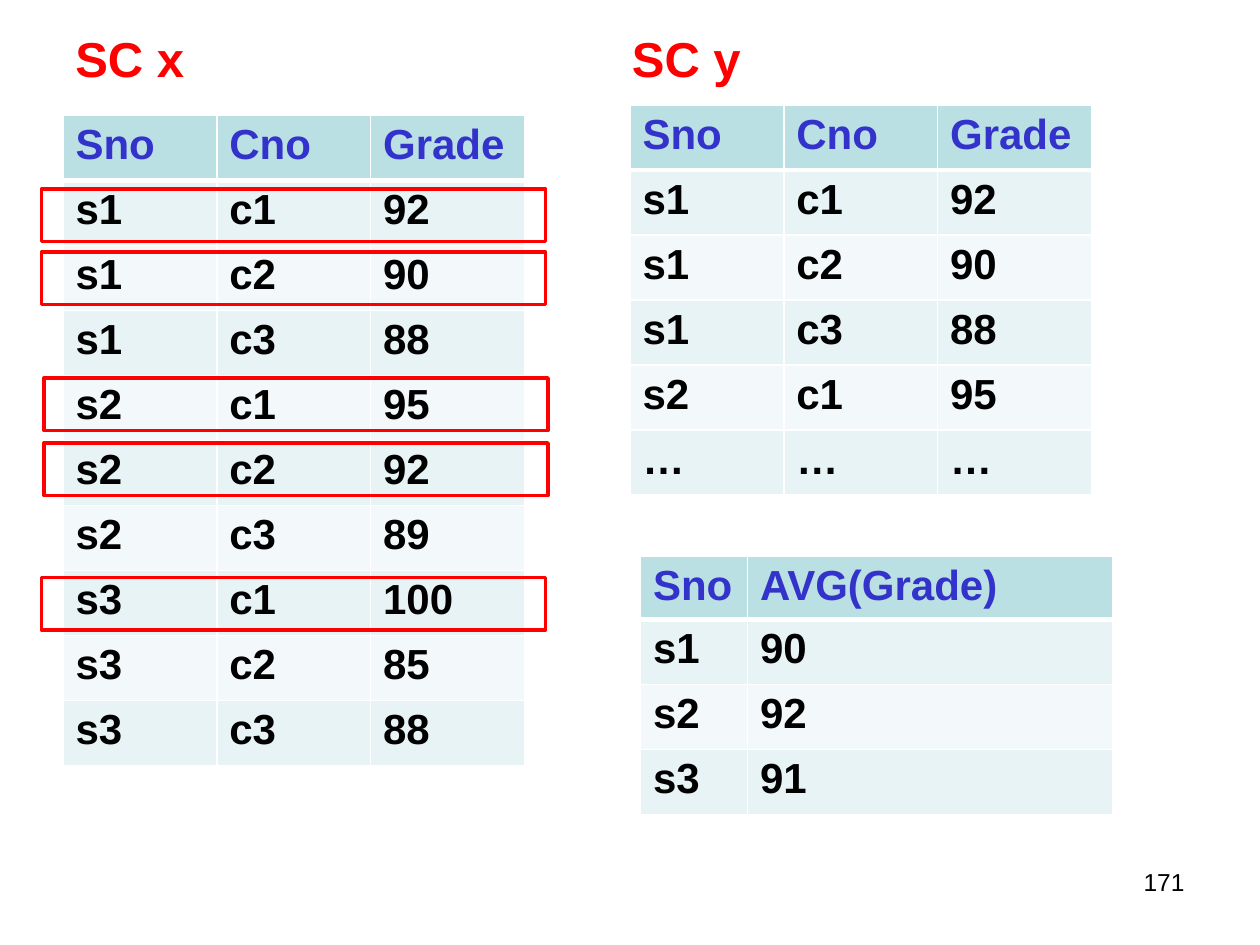
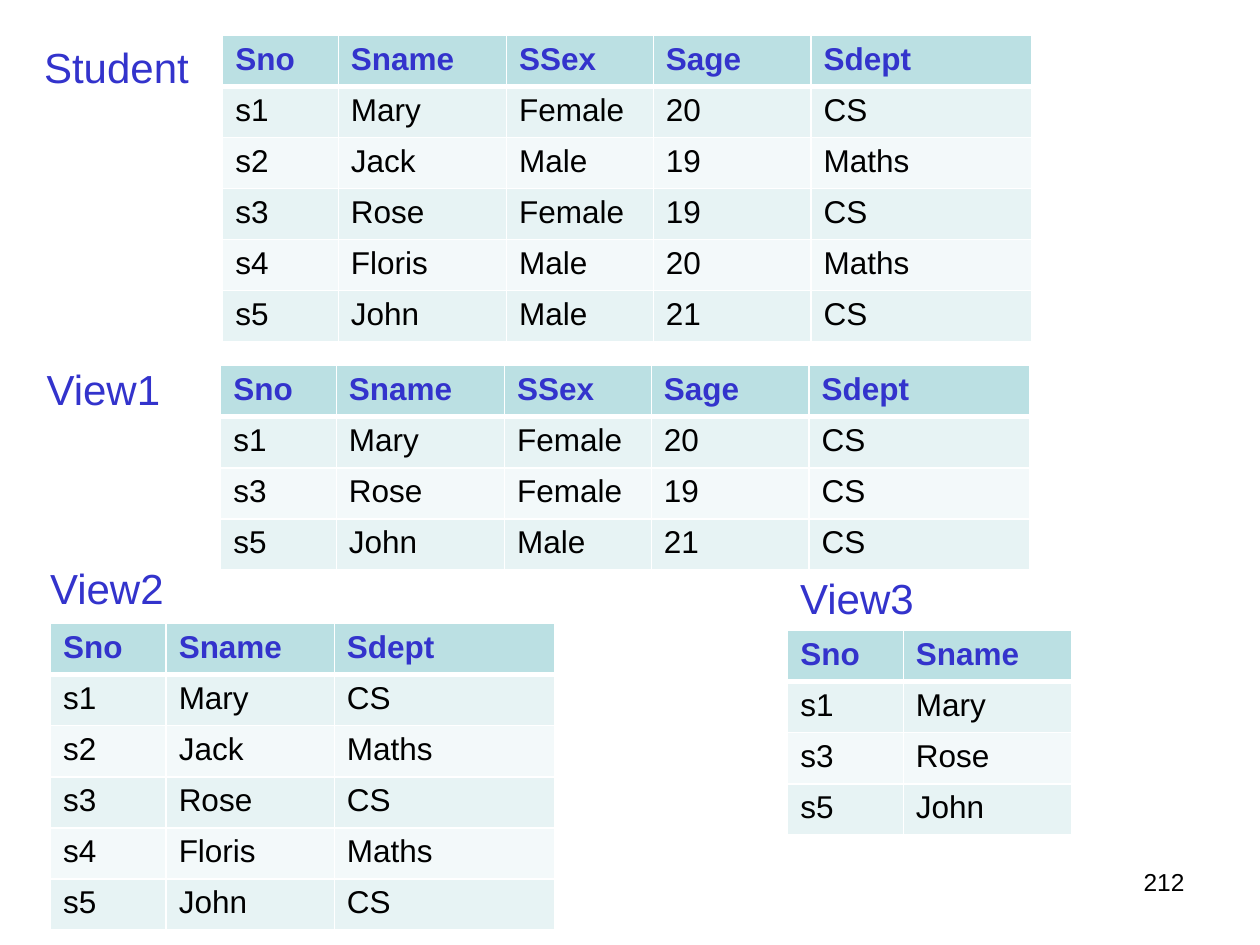
"""Build two slides on a correlated subquery and on database views."""
import pptx
import pptx.dml.color
import pptx.enum.shapes
import pptx.enum.text
import pptx.oxml
import pptx.oxml.ns
import pptx.util

Cm = pptx.util.Cm
Pt = pptx.util.Pt
rgb = pptx.dml.color.RGBColor.from_string

FONT = "Arial"
BLUE, RED, BLACK, WHITE = "3333CC", "FF0000", "000000", "FFFFFF"
HEADER, BANDS = "BBE0E3", ("E7F3F4", "F3F9FA")
PP_ALIGN = pptx.enum.text.PP_ALIGN


def add_text(s, text, x, y, w, h, size, color, bold=False, align=PP_ALIGN.LEFT):
    tf = s.shapes.add_textbox(Cm(x), Cm(y), Cm(w), Cm(h)).text_frame
    tf.word_wrap = True
    p = tf.paragraphs[0]
    p.text = text
    p.alignment = align
    p.font.name, p.font.size, p.font.bold = FONT, Pt(size), bold
    p.font.color.rgb = rgb(color)


def add_table(s, rows, x, y, widths, row_h, size, body_bold, header_h=None):
    heights = [header_h or row_h] + [row_h] * (len(rows) - 1)
    tbl = s.shapes.add_table(len(rows), len(widths), Cm(x), Cm(y),
                             Cm(sum(widths)), Cm(sum(heights))).table
    tbl.first_row = tbl.horz_banding = False
    for col, w in zip(tbl.columns, widths):
        col.width = Cm(w)
    for i, row in enumerate(rows):
        tbl.rows[i].height = Cm(heights[i])
        for j, text in enumerate(row):
            cell = tbl.cell(i, j)
            tcPr = cell._tc.get_or_add_tcPr()
            for side in "LRTB":
                thick = (i, side) in ((0, "B"), (1, "T"))
                tcPr.append(pptx.oxml.parse_xml(
                    f'<a:ln{side} {pptx.oxml.ns.nsdecls("a")} w="{Pt(3 if thick else 1)}">'
                    f'<a:solidFill><a:srgbClr val="{WHITE}"/></a:solidFill></a:ln{side}>'))
            cell.fill.solid()
            cell.fill.fore_color.rgb = rgb(BANDS[(i - 1) % 2] if i else HEADER)
            p = cell.text_frame.paragraphs[0]
            p.text = text
            p.font.name, p.font.size = FONT, Pt(size)
            p.font.bold = i == 0 or body_bold
            p.font.color.rgb = rgb(BLACK if i else BLUE)


prs = pptx.Presentation()
prs.slide_width, prs.slide_height = Cm(25.4), Cm(19.05)
for number in ("171", "212"):
    s = prs.slides.add_slide(prs.slide_layouts[6])
    add_text(s, number, 18.2, 17.35, 5.93, 1.32, 14, BLACK, align=PP_ALIGN.RIGHT)

s = prs.slides[0]
grades = [
    ("Sno", "Cno", "Grade"),
    ("s1", "c1", "92"), ("s1", "c2", "90"), ("s1", "c3", "88"),
    ("s2", "c1", "95"), ("s2", "c2", "92"), ("s2", "c3", "89"),
    ("s3", "c1", "100"), ("s3", "c2", "85"), ("s3", "c3", "88"),
]
averages = [("Sno", "AVG(Grade)"), ("s1", "90"), ("s2", "92"), ("s3", "91")]

for label, x in (("SC x", 1.27), ("SC y", 12.49)):
    add_text(s, label, x, 0.46, 3.18, 1.45, 28, RED, bold=True)
add_table(s, grades, 1.27, 2.33, [3.1] * 3, 1.31, 24, True)
add_table(s, grades[:5] + [("…",) * 3], 12.7, 2.12, [3.1] * 3, 1.31, 24, True)
add_table(s, averages, 12.91, 11.22, [2.16, 7.37], 1.31, 24, True, header_h=1.27)

for x, y in ((0.84, 3.81), (0.84, 5.08), (0.89, 7.62), (0.89, 8.93), (0.84, 11.64)):
    sp = s.shapes.add_shape(pptx.enum.shapes.MSO_SHAPE.RECTANGLE,
                            Cm(x), Cm(y), Cm(10.16), Cm(1.06))
    sp.shadow.inherit = False
    sp.fill.background()
    sp.line.color.rgb = rgb(RED)
    sp.line.width = Pt(2)

s = prs.slides[1]
students = [
    ("Sno", "Sname", "SSex", "Sage", "Sdept"),
    ("s1", "Mary", "Female", "20", "CS"),
    ("s2", "Jack", "Male", "19", "Maths"),
    ("s3", "Rose", "Female", "19", "CS"),
    ("s4", "Floris", "Male", "20", "Maths"),
    ("s5", "John", "Male", "21", "CS"),
]
cs_students = students[:1] + [row for row in students if row[4] == "CS"]
widths = [2.33, 3.39, 2.96, 3.18, 4.45]

for label, label_x, label_y, rows, columns, x, y in (
    ("Student", 0.64, 0.72, students, range(5), 4.49, 0.71),
    ("View1", 0.69, 7.2, cs_students, range(5), 4.45, 7.37),
    ("View2", 0.76, 11.21, students, (0, 1, 4), 1.02, 12.57),
    ("View3", 15.88, 11.41, cs_students, (0, 1), 15.88, 12.71),
):
    add_text(s, label, label_x, label_y, 4.02, 1.28, 24, BLUE)
    view = [[row[c] for c in columns] for row in rows]
    add_table(s, view, x, y, [widths[c] for c in columns], 1.03, 18, False)

prs.save("out.pptx")
